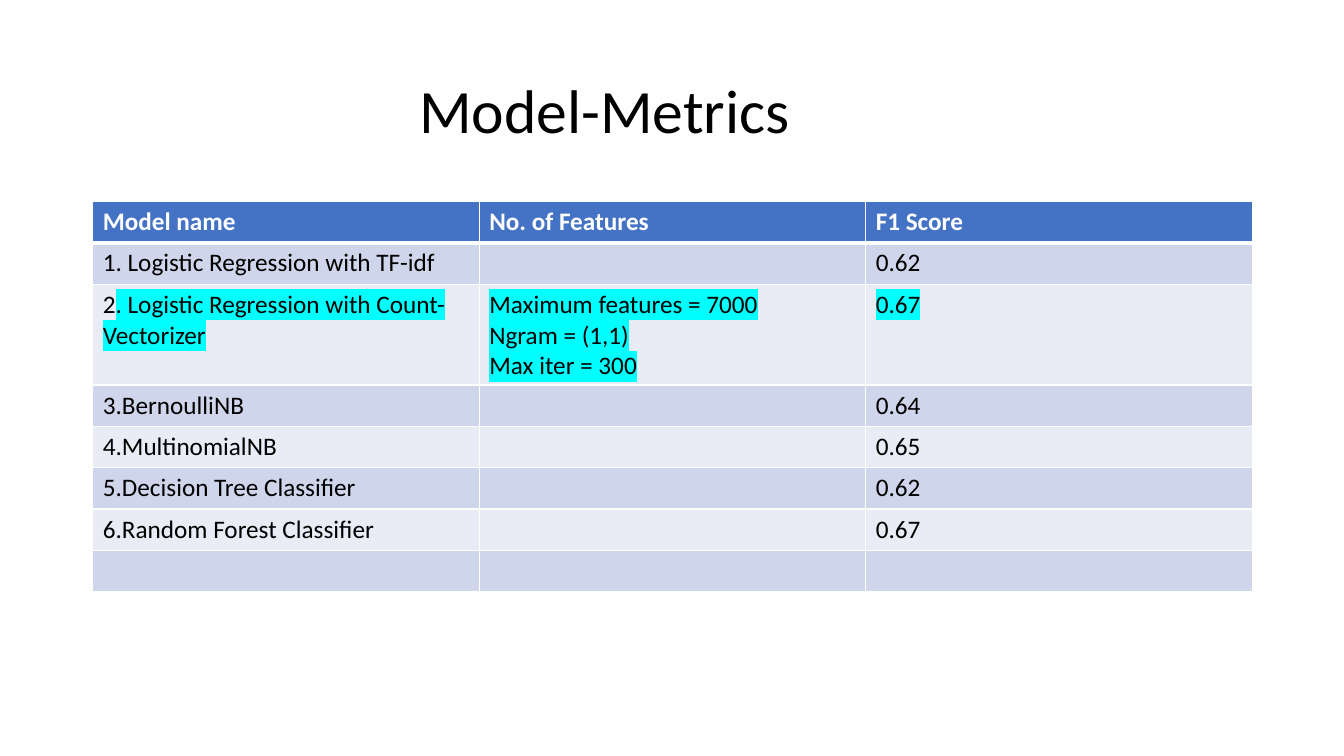
import pptx
import pptx.util
import pptx.dml.color
import pptx.enum.text
import pptx.oxml
import pptx.oxml.ns
from lxml import etree

Inches, Pt = pptx.util.Inches, pptx.util.Pt
qn = pptx.oxml.ns.qn

# Content: a cell is a string, or a list of lines made of (text, marked) runs
TITLE = "Model-Metrics"
HEADS = ["Model name", "No. of Features", "F1 Score"]
MODELS = [
    ["1. Logistic Regression with TF-idf", "", "0.62"],
    [
        [[("2", False), (". Logistic Regression with Count-Vectorizer", True)]],
        [
            [("Maximum features = 7000", True)],
            [("Ngram = (1,1)", True)],
            [("Max iter = 300", True)],
        ],
        [[("0.67", True)]],
    ],
    ["3.BernoulliNB", "", "0.64"],
    ["4.MultinomialNB", "", "0.65"],
    ["5.Decision Tree Classifier", "", "0.62"],
    ["6.Random Forest Classifier", "", "0.67"],
    ["", "", ""],
]

THEME = {
    "font": "Calibri",
    "title": 44,
    "body": 18,
    "ink": "000000",
    "light": "FFFFFF",
    "head": "4472C4",
    "bands": ("CFD5EA", "E9EBF5"),
    "mark": "00FFFF",
    "thin": 1,
    "thick": 3,
}

# Layout in inches
LEFT, WIDTH = 0.92, 11.5
TITLE_TOP, TITLE_HIGH, TITLE_INDENT = 0.4, 1.45, 3.14
TABLE_TOP, ROW_HIGH, LINE_HIGH = 2, 0.41, 0.28


def rgb(code):
    return pptx.dml.color.RGBColor.from_string(code)


def to_lines(text):
    return [[(text, False)]] if isinstance(text, str) else text


def put_text(frame, text, size=THEME["body"], color=THEME["ink"], bold=False,
             indent=0, spacing=None):
    for i, line in enumerate(to_lines(text)):
        para = frame.paragraphs[0] if i == 0 else frame.add_paragraph()
        if spacing:
            para.line_spacing = spacing
        if indent:
            para._p.get_or_add_pPr().set("marL", str(Inches(indent)))
        for words, marked in line:
            if not words:
                para.font.size = Pt(size)
                continue
            run = para.add_run()
            run.text = words
            font = run.font
            font.name, font.size, font.bold = THEME["font"], Pt(size), bold
            font.color.rgb = rgb(color)
            if marked:
                mark = etree.Element(qn("a:highlight"))
                etree.SubElement(mark, qn("a:srgbClr"), val=THEME["mark"])
                run._r.rPr.find(qn("a:solidFill")).addnext(mark)


def set_edges(cell, top, bottom):
    props = cell._tc.get_or_add_tcPr()
    thin = THEME["thin"]
    for side, width in (("L", thin), ("R", thin), ("T", top), ("B", bottom)):
        edge = etree.SubElement(props, qn("a:ln" + side), w=str(Pt(width)))
        fill = etree.SubElement(edge, qn("a:solidFill"))
        etree.SubElement(fill, qn("a:srgbClr"), val=THEME["light"])


def add_title(slide):
    box = slide.shapes.add_textbox(Inches(LEFT), Inches(TITLE_TOP),
                                   Inches(WIDTH), Inches(TITLE_HIGH))
    frame = box.text_frame
    frame.word_wrap = True
    frame.vertical_anchor = pptx.enum.text.MSO_ANCHOR.MIDDLE
    put_text(frame, TITLE, size=THEME["title"], indent=TITLE_INDENT, spacing=0.9)


def add_metrics(slide):
    rows = [HEADS] + MODELS
    # Each extra line of text makes its row taller
    highs = [ROW_HIGH + LINE_HIGH * (max(len(to_lines(c)) for c in row) - 1)
             for row in rows]
    table = slide.shapes.add_table(
        len(rows), len(HEADS), Inches(LEFT), Inches(TABLE_TOP),
        Inches(WIDTH), Inches(sum(highs))).table
    for col in table.columns:
        col.width = Inches(WIDTH / len(HEADS))
    for r, row in enumerate(rows):
        table.rows[r].height = Inches(highs[r])
        head = r == 0
        top = THEME["thick"] if r == 1 else THEME["thin"]
        bottom = THEME["thick"] if head else THEME["thin"]
        back = THEME["head"] if head else THEME["bands"][(r - 1) % 2]
        for c, text in enumerate(row):
            cell = table.cell(r, c)
            set_edges(cell, top, bottom)
            cell.fill.solid()
            cell.fill.fore_color.rgb = rgb(back)
            put_text(cell.text_frame, text, bold=head,
                     color=THEME["light" if head else "ink"])


def main():
    deck = pptx.Presentation()
    deck.slide_width, deck.slide_height = Inches(13.33), Inches(7.5)
    slide = deck.slides.add_slide(deck.slide_layouts[6])
    add_title(slide)
    add_metrics(slide)
    deck.save("out.pptx")


if __name__ == "__main__":
    main()
